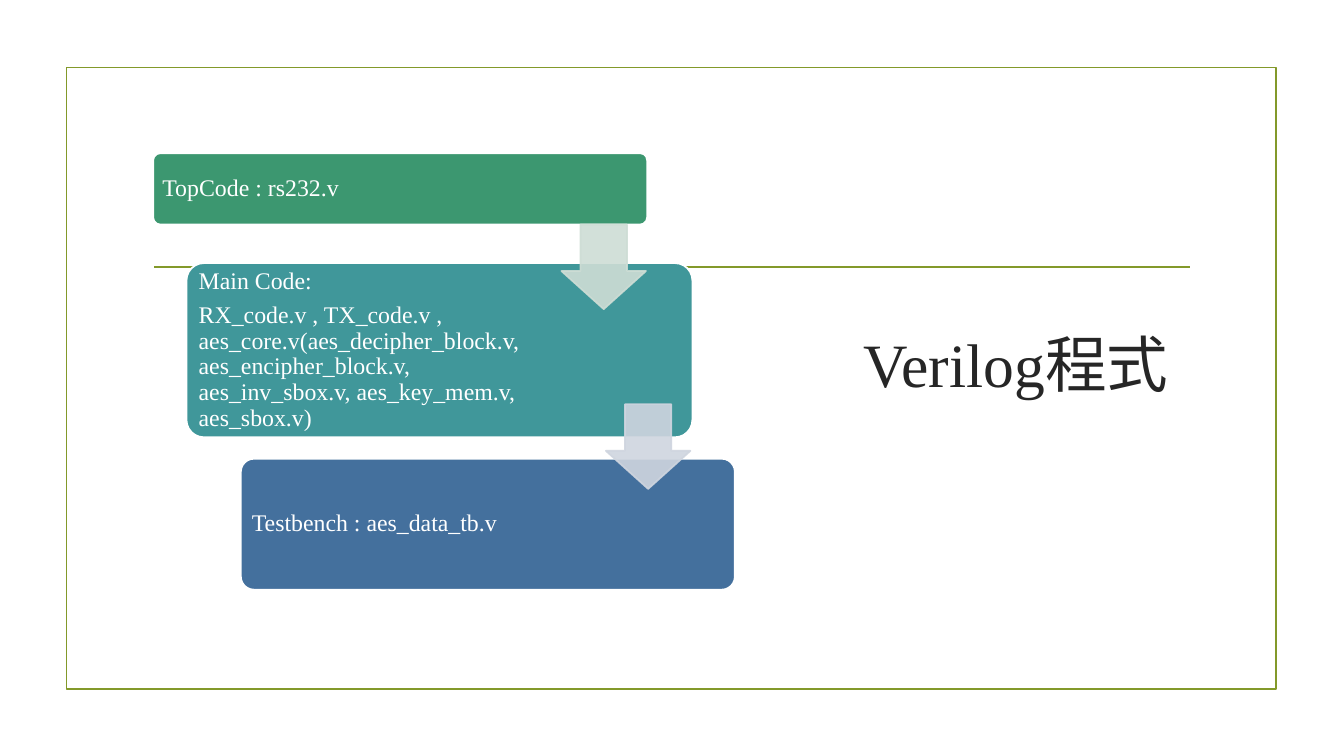
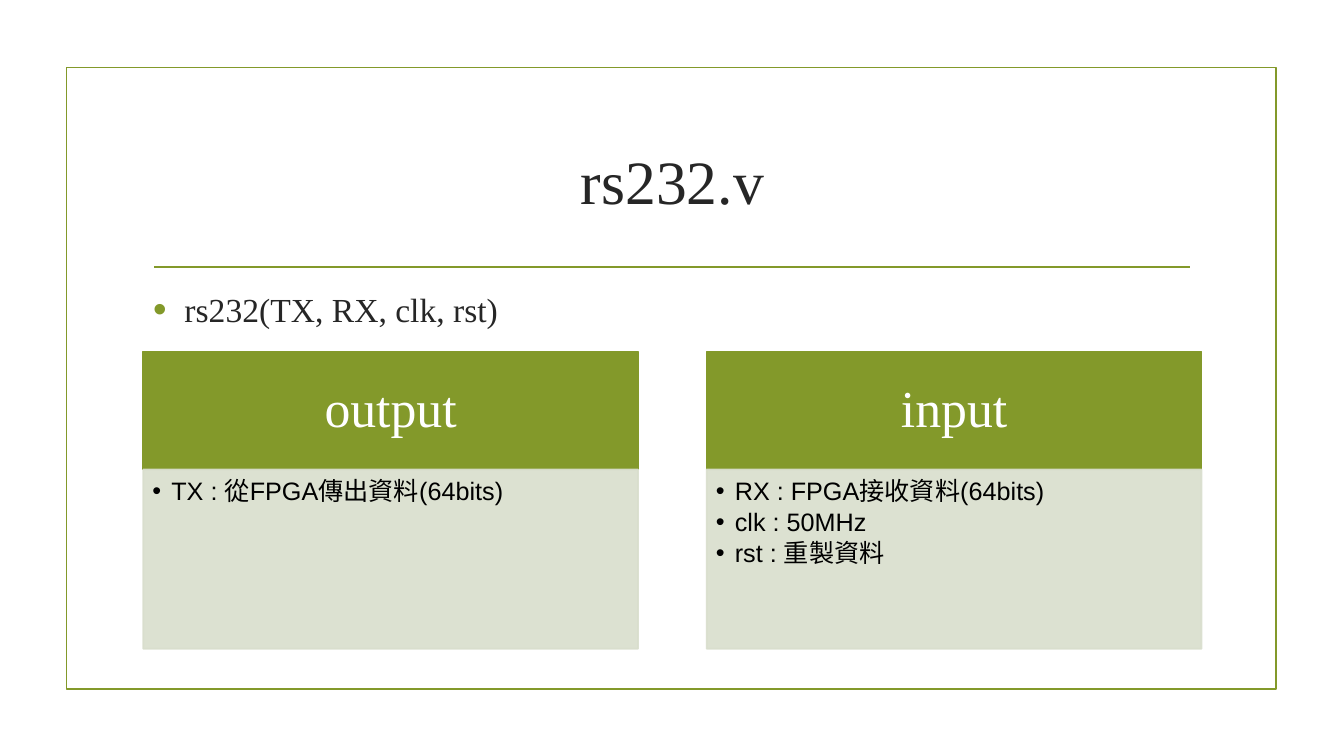
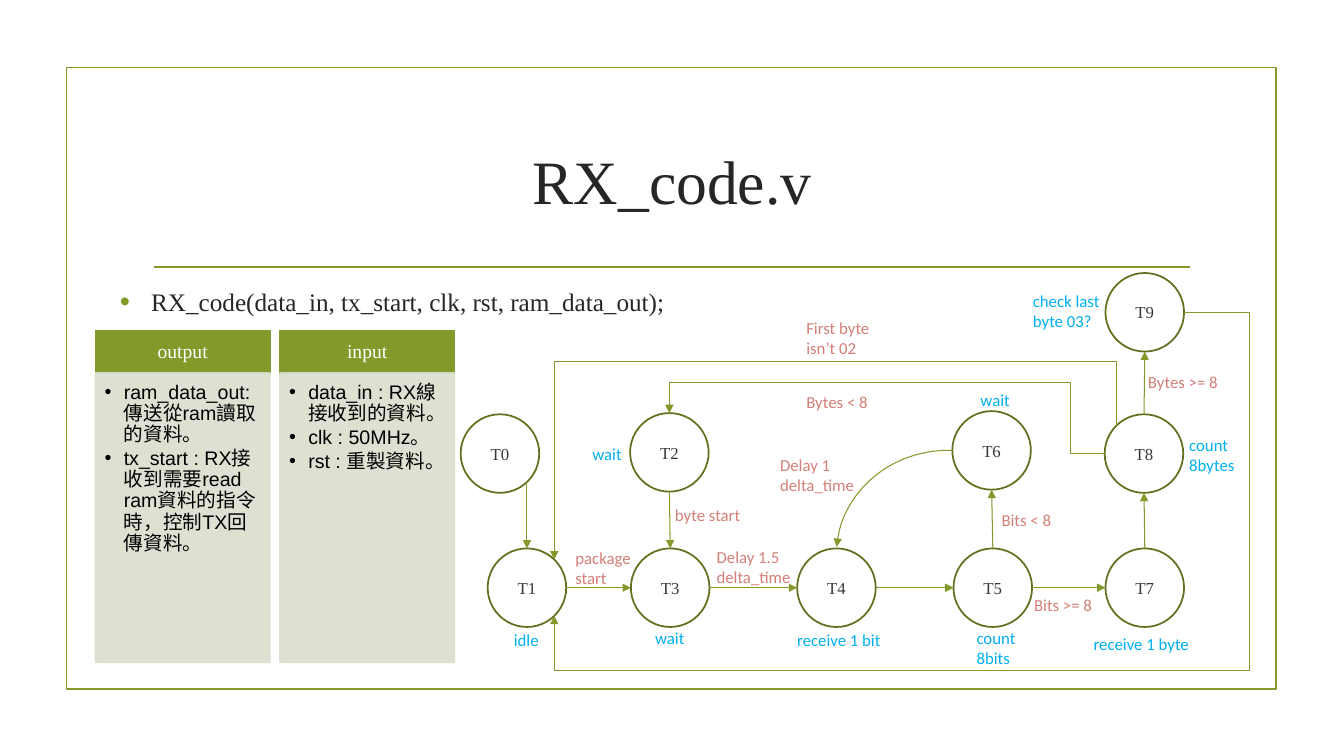
import pptx
import pptx.util
import pptx.dml.color
import pptx.enum.shapes
import pptx.enum.text
import pptx.oxml
import pptx.oxml.ns

Cm, Pt = pptx.util.Cm, pptx.util.Pt
KIND = pptx.enum.shapes.MSO_SHAPE
ALIGN = pptx.enum.text.PP_ALIGN
ANCHOR = pptx.enum.text.MSO_ANCHOR

HUES = {
    "olive": "83992A", "moss": "61711F", "pale": "D9DECD", "white": "FFFFFF",
    "black": "000000", "ink": "262626", "node": "373737",
    "green": "3C9770", "teal": "40979A", "blue": "44709D",
    "mint": "CEDDD5", "mist": "CFD5DF", "red": "D47F77", "sky": "00B0F0",
}
SERIF, SANS, LABEL = "Times New Roman", "Arial", "Calibri"

# Lengths are centimetres: left, top, width, height
FRAME = (1.68, 1.7, 30.48, 15.67)
RULE = ((3.89, 6.73), (30, 6.73))
WIDE = (3.61, 2.72, 26.67, 3.63)
ASIDE = (20.93, 2.72, 9.35, 12.85)

STEPS = [
    ((3.86, 3.86, 12.45, 1.8), "green", ["TopCode : rs232.v"]),
    ((4.7, 6.63, 12.75, 4.39), "teal", [
        "Main Code:",
        "RX_code.v , TX_code.v , aes_core.v(aes_decipher_block.v, "
        "aes_encipher_block.v, aes_inv_sbox.v, aes_key_mem.v, aes_sbox.v)"]),
    ((6.07, 11.56, 12.45, 3.3), "blue", ["Testbench : aes_data_tb.v"]),
]
DROPS = [((14.15, 5.66, 2.13, 2.13), "mint"),
         ((15.27, 10.19, 2.13, 2.13), "mist")]

PORTS = [
    {
        "title": "rs232.v",
        "call": "rs232(TX, RX, clk, rst)",
        "place": (3.61, 7.16, 26.67, 1.3), "size": 24,
        "left": 3.61, "top": 8.86, "width": 12.47, "pitch": 14.2,
        "head": 2.97, "body": 4.52, "sizes": (37, 18),
        "panels": [
            ("output", ["TX : 從FPGA傳出資料(64bits)"]),
            ("input", ["RX : FPGA接收資料(64bits)", "clk : 50MHz",
                       "rst : 重製資料"]),
        ],
    },
    {
        "title": "RX_code.v",
        "call": "RX_code(data_in, tx_start, clk, rst, ram_data_out);",
        "place": (2.77, 7.09, 24, 1.1), "size": 18,
        "left": 2.41, "top": 8.33, "width": 4.39, "pitch": 4.65,
        "head": 1.07, "body": 7.29, "sizes": (14, 14),
        "panels": [
            ("output", ["ram_data_out:傳送從ram讀取的資料。",
                        "tx_start : RX接收到需要read ram資料的指令時，控制TX回傳資料。"]),
            ("input", ["data_in : RX線接收到的資料。", "clk : 50MHz。",
                       "rst : 重製資料。"]),
        ],
    },
]

DISC = 1.98
NODES = {
    "T0": (11.61, 10.44), "T1": (12.29, 13.82), "T2": (15.88, 10.41),
    "T3": (15.9, 13.82), "T4": (20.09, 13.82), "T5": (24.03, 13.82),
    "T6": (24, 10.36), "T7": (27.86, 13.82), "T8": (27.84, 10.44),
    "T9": (27.86, 6.88),
}
# Start node, end node, direction of travel
LINKS = [
    ("T1", "T3", 1, 0), ("T3", "T4", 1, 0), ("T4", "T5", 1, 0),
    ("T5", "T7", 1, 0), ("T2", "T3", 0, 1), ("T5", "T6", 0, -1),
    ("T7", "T8", 0, -1), ("T8", "T9", 0, -1),
]
START = ((13.28, 12.14), (13.28, 13.82))
ROUTES = [
    [(29.84, 7.87), (31.5, 7.87), (31.5, 16.89), (13.97, 16.89), (13.97, 15.52)],
    [(28.14, 10.74), (28.14, 9.12), (13.97, 9.12), (13.97, 14.1)],
    [(27.84, 11.43), (26.97, 11.43), (26.97, 9.65), (16.87, 9.65), (16.87, 10.41)],
]
ARC = (21.08, 11.35, 5.64, 5.26)
NOTES = {
    "red": [
        ("package start", 14.25, 13.67, 1.98),
        ("Delay 1.5 delta_time", 17.81, 13.64, 2.69),
        ("Delay 1 delta_time", 19.41, 11.33, 2.39),
        ("First byte isn’t 02", 20.07, 7.87, 2.16),
        ("Bytes < 8", 20.07, 9.75, 2.31),
        ("Bytes >= 8", 28.68, 9.25, 2.31),
        ("Bits < 8", 24.99, 12.73, 1.98),
        ("Bits >= 8", 25.81, 14.86, 2.31),
        ("byte start", 16.76, 12.6, 2.31),
    ],
    "sky": [
        ("idle", 12.7, 15.75, 1.25),
        ("wait", 16.26, 15.7, 1.3),
        ("receive 1 bit", 19.84, 15.75, 2.72),
        ("count 8bits", 24.36, 15.7, 1.57),
        ("receive 1 byte", 27.31, 15.85, 3.07),
        ("wait", 24.46, 9.7, 1.3),
        ("count 8bytes", 29.72, 10.82, 1.8),
        ("check last byte 03?", 25.78, 7.19, 2.51),
        ("wait", 14.68, 11.05, 1.3),
    ],
}


def cms(values):
    return [Cm(value) for value in values]


def rgb(hue):
    return pptx.dml.color.RGBColor.from_string(HUES[hue])


def add(parent, tag, **attrs):
    node = pptx.oxml.parse_xml(
        f'<a:{tag} {pptx.oxml.ns.nsdecls("a")}/>')
    for key, value in attrs.items():
        node.set(key, value)
    parent.append(node)
    return node


def paint(shape, fill, line, width=1.25):
    shape.shadow.inherit = False
    if fill:
        shape.fill.solid()
        shape.fill.fore_color.rgb = rgb(fill)
    else:
        shape.fill.background()
    stroke(shape, line, width)
    return shape


def stroke(shape, hue, width):
    shape.line.color.rgb = rgb(hue)
    shape.line.width = Pt(width)


def fade(shape):
    """Make fill and line 90% opaque."""
    for color in shape.element.spPr.iter(pptx.oxml.ns.qn("a:srgbClr")):
        add(color, "alpha", val="90000")


def point(shape):
    """Put an arrowhead at the end of a line."""
    add(shape.element.spPr.find(pptx.oxml.ns.qn("a:ln")), "tailEnd",
        type="triangle")


def write(shape, lines, size, face, hue, align=ALIGN.LEFT,
          anchor=ANCHOR.TOP, pad=None, gap=0, lead=None, dot=None):
    """Fill a shape with paragraphs; dot is (indent, bullet hue, percent)."""
    frame = shape.text_frame
    frame.word_wrap = True
    frame.vertical_anchor = anchor
    if pad:
        (frame.margin_left, frame.margin_top,
         frame.margin_right, frame.margin_bottom) = cms(pad)
    for count, line in enumerate(lines):
        para = frame.add_paragraph() if count else frame.paragraphs[0]
        para.text = line
        para.alignment = align
        para.space_after = Pt(gap)
        if lead:
            para.line_spacing = lead
        if dot:
            indent, tint, scale = dot
            props = para._p.get_or_add_pPr()
            props.set("marL", str(Cm(indent)))
            props.set("indent", str(-Cm(indent)))
            add(add(props, "buClr"), "srgbClr", val=HUES[tint])
            add(props, "buSzPct", val=str(scale * 1000))
            add(props, "buFont", typeface=SANS)
            add(props, "buChar", char="•")
        para.font.size = Pt(size)
        para.font.name = face
        para.font.color.rgb = rgb(hue)


def line(slide, start, end, width):
    item = slide.shapes.add_connector(
        pptx.enum.shapes.MSO_CONNECTOR.STRAIGHT, *cms(start + end))
    stroke(item, "olive", width)
    add(item.element.spPr, "effectLst")
    return item


def dress(layout, slide):
    """Move the shared frame and rule from a slide to its layout."""
    frame = paint(slide.shapes.add_shape(KIND.RECTANGLE, *cms(FRAME)),
                  None, "olive")
    for item in (frame, line(slide, *RULE, 1.25)):
        layout.shapes.element.append(item.element)


def entitle(slide, text, place):
    title = slide.shapes.title
    title.left, title.top, title.width, title.height = cms(place)
    write(title, [text], 44, SERIF, "ink", ALIGN.CENTER, ANCHOR.MIDDLE)


def flow(slide):
    for place, hue, lines in STEPS:
        box = paint(slide.shapes.add_shape(KIND.ROUNDED_RECTANGLE, *cms(place)),
                    hue, "white")
        box.adjustments[0] = 0.1
        write(box, lines, 17, SERIF, "white", anchor=ANCHOR.MIDDLE,
              pad=(0.18, 0.18, 3.5, 0.18), gap=6, lead=0.9)
    for place, hue in DROPS:
        drop = paint(slide.shapes.add_shape(KIND.DOWN_ARROW, *cms(place)),
                     hue, hue)
        drop.adjustments[0], drop.adjustments[1] = 0.55, 0.45
        fade(drop)


def ports(slide, data):
    call = slide.shapes.add_textbox(*cms(data["place"]))
    write(call, [data["call"]], data["size"], SERIF, "ink",
          dot=(0.79, "olive", 115))
    big, small = data["sizes"]
    for count, (name, lines) in enumerate(data["panels"]):
        left, top = data["left"] + count * data["pitch"], data["top"]
        head = slide.shapes.add_shape(
            KIND.RECTANGLE, *cms((left, top, data["width"], data["head"])))
        write(paint(head, "olive", "olive"), [name], big, SERIF, "white",
              ALIGN.CENTER, ANCHOR.MIDDLE, pad=(0.3, 0.18, 0.3, 0.18), lead=0.9)
        body = slide.shapes.add_shape(
            KIND.RECTANGLE,
            *cms((left, top + data["head"], data["width"], data["body"])))
        fade(paint(body, "pale", "pale"))
        write(body, lines, small, SANS, "black", pad=(0.23, 0.23, 0.3, 0.36),
              gap=small * 0.15, lead=0.9, dot=(0.48, "black", 100))


def side(name, across, down):
    """Point on a node's rim in the given direction."""
    left, top = NODES[name]
    return (left + (1 + across) * DISC / 2, top + (1 + down) * DISC / 2)


def states(slide):
    for name, spot in NODES.items():
        disc = slide.shapes.add_shape(
            KIND.FLOWCHART_CONNECTOR, *cms(spot + (DISC, DISC)))
        write(paint(disc, None, "moss"), [name], 12, SERIF, "node",
              ALIGN.CENTER, ANCHOR.MIDDLE)
    ends = [(side(start, across, down), side(end, -across, -down))
            for start, end, across, down in LINKS]
    for start, end in [START] + ends:
        point(line(slide, start, end, 0.75))
    for route in ROUTES:
        first, *rest = [tuple(cms(spot)) for spot in route]
        pen = slide.shapes.build_freeform(*first)
        pen.add_line_segments(rest, close=False)
        point(paint(pen.convert_to_shape(), None, "olive", 0.75))
    arc = paint(slide.shapes.add_shape(KIND.ARC, *cms(ARC)), None, "olive", 0.75)
    arc.adjustments[0], arc.adjustments[1] = 161.14, 213.59
    arc.element.spPr.xfrm.set("flipH", "1")
    point(arc)
    for hue, notes in NOTES.items():
        for text, left, top, width in notes:
            note = slide.shapes.add_textbox(*cms((left, top, width, 0.75)))
            write(note, [text], 12, LABEL, hue)


def main():
    deck = pptx.Presentation()
    deck.slide_width, deck.slide_height = cms((33.87, 19.05))
    layout = deck.slide_layouts[5]
    slides = [deck.slides.add_slide(layout) for _ in range(3)]
    dress(layout, slides[0])
    entitle(slides[0], "Verilog程式", ASIDE)
    flow(slides[0])
    for slide, data in zip(slides[1:], PORTS):
        entitle(slide, data["title"], WIDE)
        ports(slide, data)
    states(slides[2])
    deck.save("out.pptx")


if __name__ == "__main__":
    main()
